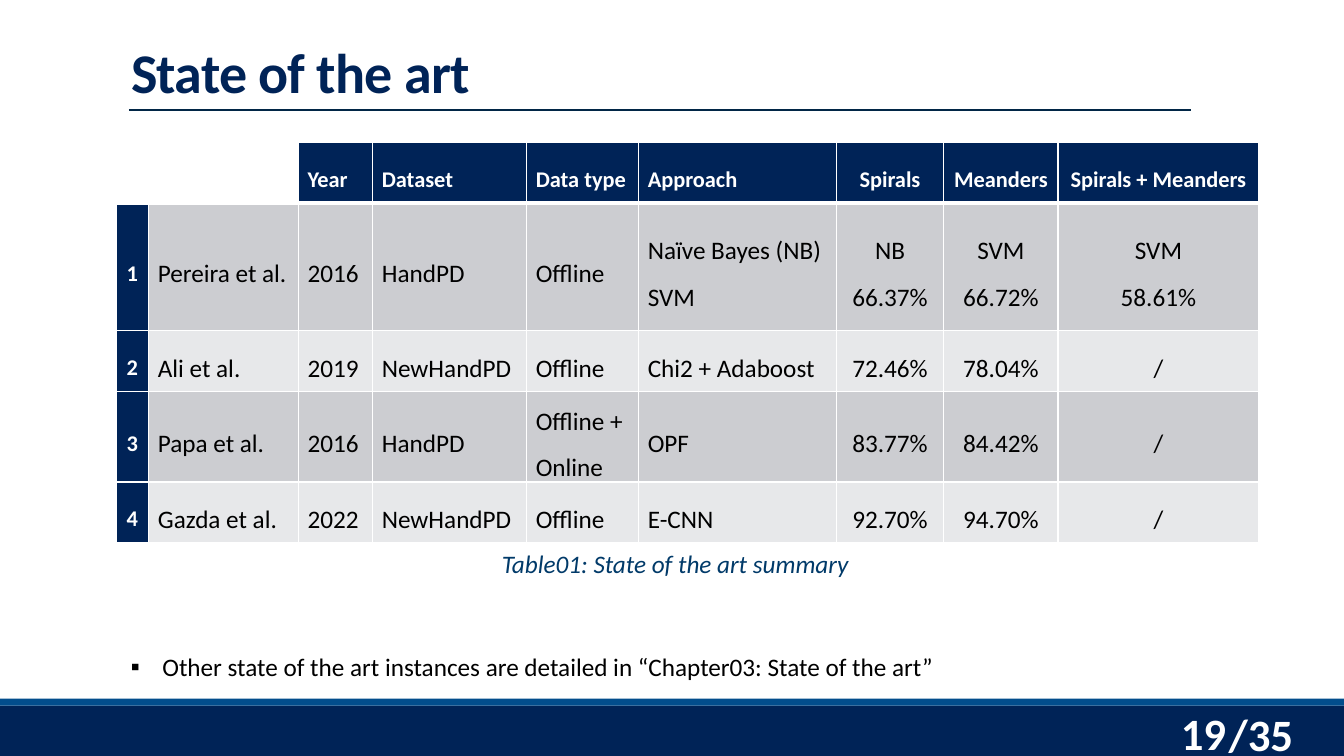
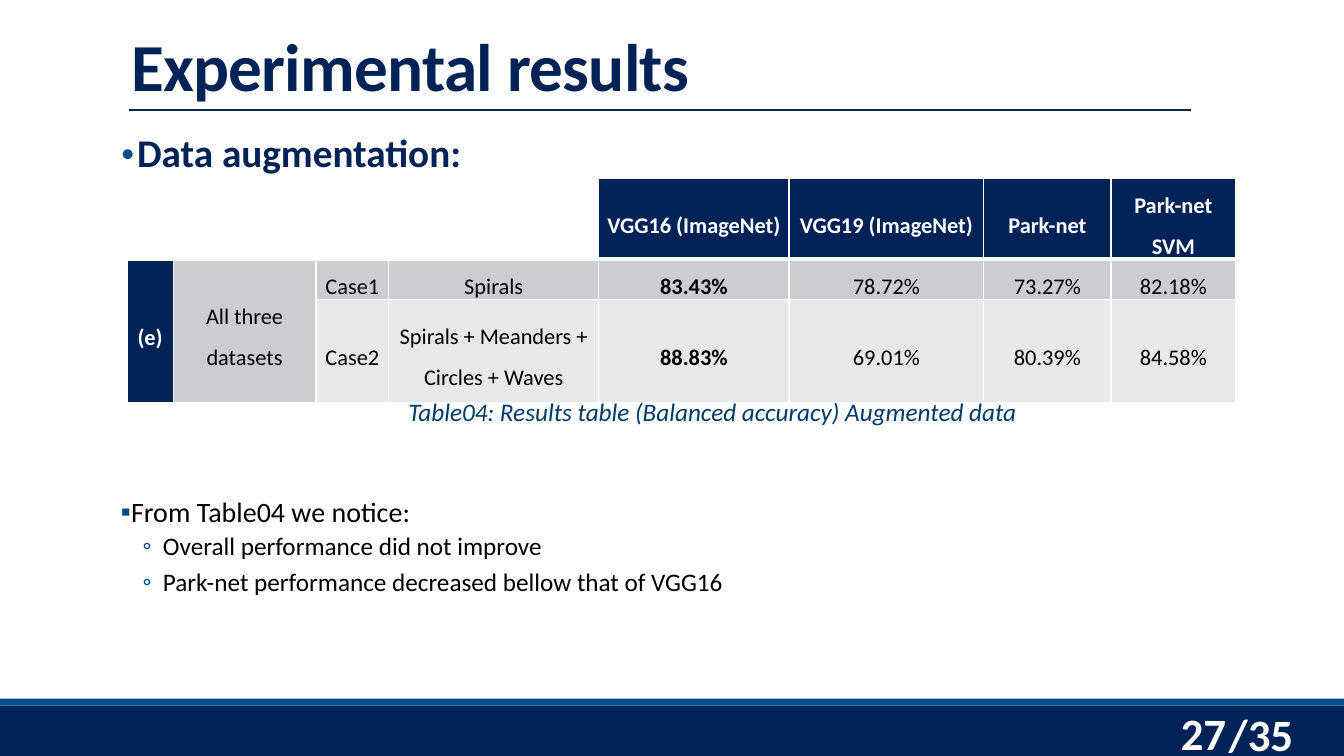
from lxml import etree
from pptx import Presentation
from pptx.dml.color import RGBColor
from pptx.enum.shapes import MSO_CONNECTOR, MSO_SHAPE
from pptx.enum.text import MSO_ANCHOR, MSO_AUTO_SIZE, PP_ALIGN
from pptx.oxml.ns import qn
from pptx.util import Pt

NAVY = RGBColor(0x00, 0x23, 0x57)
BLUE = RGBColor(0x02, 0x4D, 0x8C)
RULE = RGBColor(0x01, 0x26, 0x46)
CAPTION = RGBColor(0x01, 0x3A, 0x69)
WHITE = RGBColor(0xFF, 0xFF, 0xFF)
BLACK = RGBColor(0x00, 0x00, 0x00)
BANDING = (RGBColor(0xCC, 0xCD, 0xD1), RGBColor(0xE7, 0xE8, 0xEA))

LEFT, CENTER, RIGHT = PP_ALIGN.LEFT, PP_ALIGN.CENTER, PP_ALIGN.RIGHT
TOP, MIDDLE, BOTTOM = MSO_ANCHOR.TOP, MSO_ANCHOR.MIDDLE, MSO_ANCHOR.BOTTOM
NO_FIT = MSO_AUTO_SIZE.NONE
RECTANGLE = MSO_SHAPE.RECTANGLE
STRAIGHT = MSO_CONNECTOR.STRAIGHT

FONT = "Calibri"
WIDTH, HEIGHT = 960, 540
BAND_TOP = 504
STRIPE = 5
PAGE_COUNT = 35
TITLE_ONLY, TITLE_AND_BODY = 5, 1


def style(para, size, color, bold=False, italic=False, align=LEFT):
    para.alignment = align
    font = para.font
    font.name, font.size = FONT, Pt(size)
    font.bold, font.italic = bold, italic
    font.color.rgb = color


def place(shape, left, top, width, height):
    shape.left, shape.top = Pt(left), Pt(top)
    shape.width, shape.height = Pt(width), Pt(height)


def add_bullet(para, char, indent, hanging, color, percent=100):
    """Hang a bullet; call this before the paragraph's font is set."""
    props = para._p.get_or_add_pPr()
    props.set("marL", str(Pt(indent)))
    props.set("indent", str(-Pt(hanging)))
    holder = etree.SubElement(props, qn("a:buClr"))
    etree.SubElement(holder, qn("a:srgbClr"), val=str(color))
    etree.SubElement(props, qn("a:buSzPct"), val=str(percent * 1000))
    etree.SubElement(props, qn("a:buFont"), typeface=FONT)
    etree.SubElement(props, qn("a:buChar"), char=char)


def add_text(page, text, box, anchor=TOP):
    """Add a one-paragraph text box and return its paragraph."""
    left, top, width, height = map(Pt, box)
    frame = page.shapes.add_textbox(left, top, width, height).text_frame
    frame.word_wrap = True
    frame.vertical_anchor = anchor
    frame.text = text
    return frame.paragraphs[0]


def add_band(page, top, height, color):
    band = page.shapes.add_shape(RECTANGLE, 0, Pt(top), Pt(WIDTH), Pt(height))
    band.shadow.inherit = False
    band.fill.solid()
    band.fill.fore_color.rgb = color
    band.line.fill.background()


def add_footer(page, number):
    add_band(page, BAND_TOP, HEIGHT - BAND_TOP, NAVY)
    add_band(page, BAND_TOP - STRIPE, STRIPE, BLUE)
    total = add_text(page, f"/{PAGE_COUNT}", (870.5, 501, 67, 46))
    style(total, 32, WHITE, bold=True)
    current = add_text(page, str(number), (780, 508.5, 103, 29), MIDDLE)
    style(current, 32, WHITE, bold=True, align=RIGHT)


def add_title(page, text, size):
    title = page.shapes.title
    place(title, 86.4, 8.6, 792, 70)
    frame = title.text_frame
    frame.text = text
    frame.word_wrap, frame.auto_size = True, NO_FIT
    frame.vertical_anchor = BOTTOM
    para = frame.paragraphs[0]
    para.line_spacing = 0.85
    style(para, size, NAVY, bold=True)
    para._p.pPr.find(qn("a:defRPr")).set("spc", "-50")

    rule = page.shapes.add_connector(STRAIGHT, Pt(92), Pt(78.5), Pt(851), Pt(78.5))
    rule.line.color.rgb = RULE
    rule.line.width = Pt(1)
    etree.SubElement(rule._element.spPr, qn("a:effectLst"))


def add_page(deck, layout, title, title_size, number):
    page = deck.slides.add_slide(deck.slide_layouts[layout])
    add_footer(page, number)
    add_title(page, title, title_size)
    return page


def add_borders(cell, bottom):
    props = cell._tc.get_or_add_tcPr()
    for side, width in (("L", 1), ("R", 1), ("T", 1), ("B", bottom)):
        line = etree.SubElement(props, qn(f"a:ln{side}"), w=str(Pt(width)))
        fill = etree.SubElement(line, qn("a:solidFill"))
        etree.SubElement(fill, qn("a:srgbClr"), val=str(WHITE))


def fill_cell(cell, text, color, inset):
    cell.margin_left = cell.margin_right = Pt(inset)
    cell.margin_top = cell.margin_bottom = 0
    cell.vertical_anchor = MIDDLE
    cell.text = text
    if color is None:
        cell.fill.background()
    else:
        cell.fill.solid()
        cell.fill.fore_color.rgb = color


def add_results(page, left, top, widths, heights, rows, size, inset,
                left_columns=(), bold_column=None):
    """Add a table with a navy header row and first column over banded rows."""
    frame = page.shapes.add_table(len(rows), len(widths), Pt(left), Pt(top),
                                  Pt(sum(widths)), Pt(sum(heights)))
    table = frame.table
    for column, width in zip(table.columns, widths):
        column.width = Pt(width)
    for row, height in zip(table.rows, heights):
        row.height = Pt(height)
    for r, texts in enumerate(rows):
        for c, text in enumerate(texts):
            cell = table.cell(r, c)
            heading = r == 0 or c == 0
            color = NAVY if heading else BANDING[(r - 1) % 2]
            if r == 0 and not text:
                color = None
            add_borders(cell, 3 if r == 0 else 1)
            fill_cell(cell, text, color, inset)
            for para in cell.text_frame.paragraphs:
                para.line_spacing = 1.5
                style(para, 16 if heading else size, WHITE if heading else BLACK,
                      bold=heading or c == bold_column,
                      align=LEFT if c in left_columns else CENTER)
    return table


def add_caption(page, text, box):
    style(add_text(page, text, box), 18, CAPTION, italic=True, align=CENTER)


def add_findings(page, box, items):
    """Fill the body; items are text, level, bullet, indents, gaps and font."""
    body = page.placeholders[1]
    place(body, *box)
    frame = body.text_frame
    frame.word_wrap, frame.auto_size = True, NO_FIT
    frame.margin_left = frame.margin_right = 0
    frame.text = "\n".join(item[0] for item in items)
    for para, item in zip(frame.paragraphs, items):
        _, level, bullet, before, after, size, color, bold = item
        para.level = level
        add_bullet(para, *bullet)
        para.line_spacing = 0.9
        para.space_before, para.space_after = Pt(before), Pt(after)
        style(para, size, color, bold)


def state_of_the_art(deck):
    page = add_page(deck, TITLE_ONLY, "State of the art", 40, 19)
    rows = [
        ("", "", "Year", "Dataset", "Data type", "Approach",
         "Spirals", "Meanders", "Spirals + Meanders"),
        ("1", "Pereira et al.", "2016", "HandPD", "Offline", "Naïve Bayes (NB)\nSVM",
         "NB\n66.37%", "SVM\n66.72%", "SVM\n58.61%"),
        ("2", "Ali et al.", "2019", "NewHandPD", "Offline", "Chi2 + Adaboost",
         "72.46%", "78.04%", "/"),
        ("3", "Papa et al.", "2016", "HandPD", "Offline + Online", "OPF",
         "83.77%", "84.42%", "/"),
        ("4", "Gazda et al.", "2022", "NewHandPD", "Offline", "E-CNN",
         "92.70%", "94.70%", "/"),
    ]
    widths = (23.5, 107, 53, 110, 80, 141, 77, 81.5, 143.5)
    add_results(page, 82.8, 101.5, widths, (43.5, 91, 43.5, 43.5, 43.5), rows,
                size=18, inset=6.5, left_columns=range(1, 6))
    add_caption(page, "Table01: State of the art summary", (86.4, 388, 792, 29))
    note = add_text(page, "Other state of the art instances are detailed in "
                    "“Chapter03: State of the art”", (86.4, 462, 813, 29))
    add_bullet(note, "▪", 22.5, 22.5, BLACK)
    style(note, 18, BLACK)


def experimental_results(deck):
    page = add_page(deck, TITLE_AND_BODY, "Experimental results", 48, 27)
    point = (1, ("◦", 30, 14.5, BLUE), 2, 4, 18, BLACK, False)
    add_findings(page, (86.4, 92, 792, 395), [
        ("Data augmentation:", 0, ("•", 11.5, 11.5, BLUE, 71), 0, 2, 28, NAVY, True),
        ("From Table04 we notice:", 0, ("▪", 7.2, 7.2, BLUE), 228, 2, 20, BLACK, False),
        ("Overall performance did not improve", *point),
        ("Park-net performance decreased bellow that of VGG16", *point),
    ])
    rows = [
        ("", "", "", "", "VGG16 (ImageNet)", "VGG19 (ImageNet)",
         "Park-net", "Park-net SVM"),
        ("(e)", "All three datasets", "Case1", "Spirals",
         "83.43%", "78.72%", "73.27%", "82.18%"),
        ("", "", "Case2", "Spirals + Meanders + Circles + Waves",
         "88.83%", "69.01%", "80.39%", "84.58%"),
    ]
    widths = (33, 102, 52, 150, 136, 139, 91, 89)
    table = add_results(page, 90.7, 127.5, widths, (46, 21.5, 73.5), rows,
                        size=16, inset=5, bold_column=4)
    for column in (0, 1):
        table.cell(1, column).merge(table.cell(2, column))
    add_caption(page, "Table04: Results table (Balanced accuracy) Augmented data",
                (90.7, 279.5, 836.5, 29))


def main():
    deck = Presentation()
    deck.slide_width, deck.slide_height = Pt(WIDTH), Pt(HEIGHT)
    state_of_the_art(deck)
    experimental_results(deck)
    deck.save("out.pptx")


if __name__ == "__main__":
    main()
